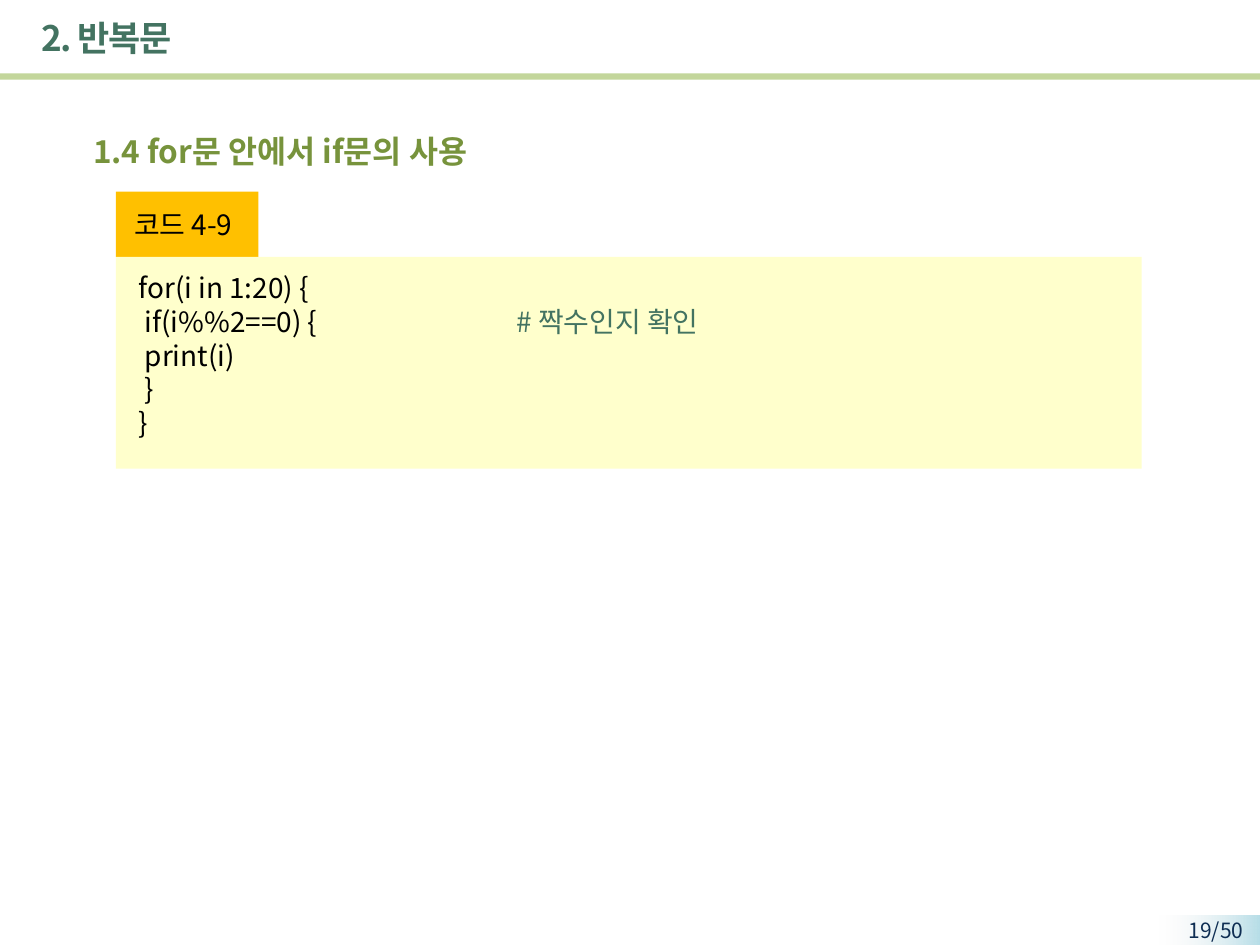
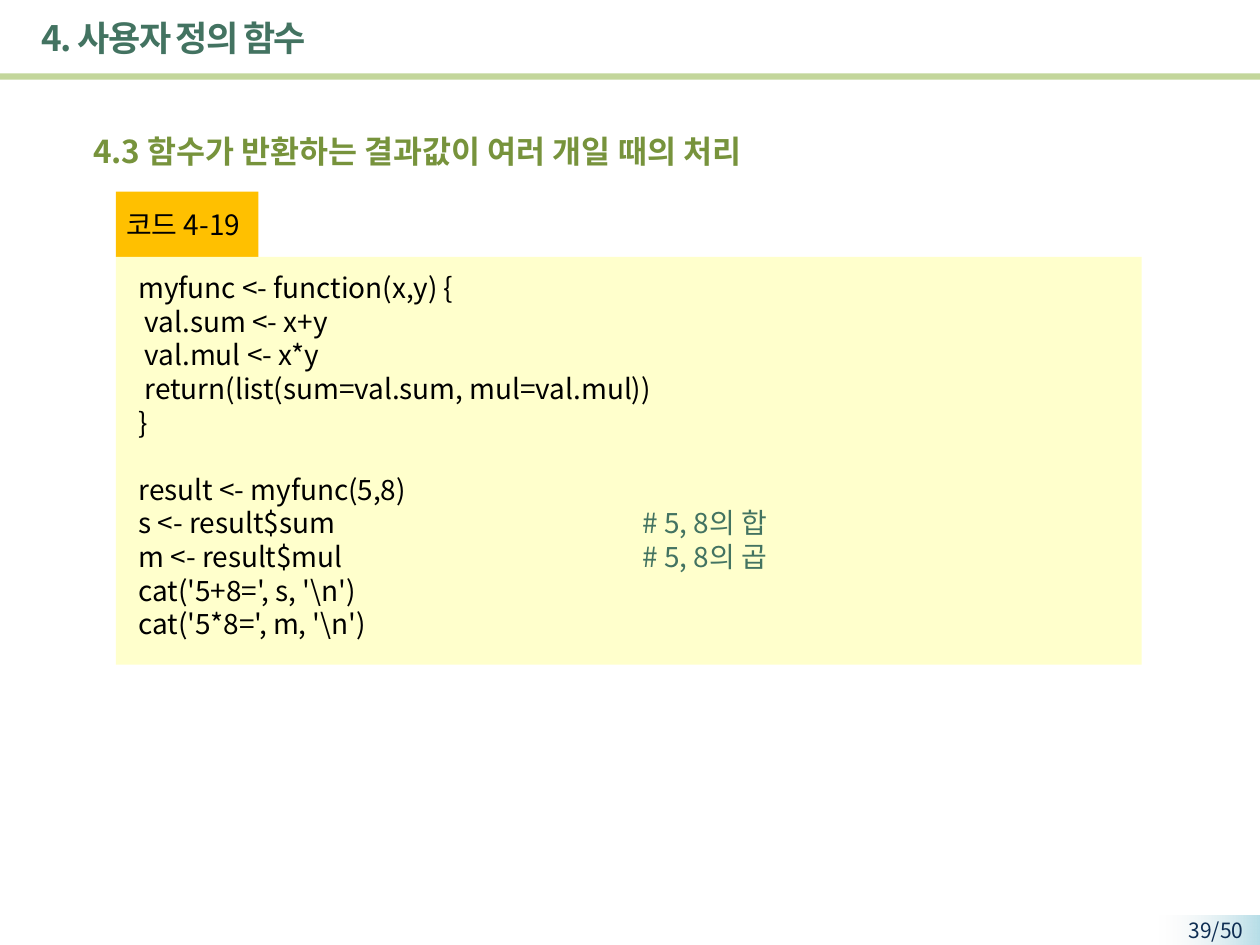
"""Builds two lecture slides, each with a heading and a tagged code listing."""
import pptx
import pptx.dml.color
import pptx.enum.shapes
import pptx.enum.text
import pptx.oxml.ns
import pptx.util
from lxml import etree

Pt = pptx.util.Pt
ALIGN = pptx.enum.text.PP_ALIGN
ANCHOR = pptx.enum.text.MSO_ANCHOR
FONT = "Noto Sans CJK KR"
COLORS = {
    "title": "437361", "rule": "C3D69B", "heading": "77933C",
    "tag": "FFC000", "listing": "FFFFCC", "code": "000000",
    "comment": "437361", "page": "0F2E53",
    "footer": "B7DEE8", "footer_fade": "F2F2F2",
}
FORMATS = {
    "title": {"size": Pt(20), "bold": True},
    "heading": {"size": Pt(18), "bold": True},
    "code": {"size": Pt(16)},
    "comment": {"size": Pt(16)},
    "page": {"size": Pt(12)},
}
TITLE_BOX = (16.56, 2.9, 612.7, 37.4)
RULE_BOX = (0, 41.9, 720, 3.6)
HEADING_BOX = (53.2, 72, 640, 28.8)
CODE_BOX = (66.3, 109.5, 586.1)
FOOTER_BOX = (662.4, 523.2, 57.6, 16.8)
TAG_WIDTH, TAG_HEIGHT = 81.4, 37.3
LINE_HEIGHT = 19.2
TOTAL_PAGES = 50

SLIDES = [
    {
        "title": "2. 반복문",
        "heading": "1.4 for문 안에서 if문의 사용",
        "tag": "코드 4-9", "page": 19,
        "listing_height": 121, "comment_tab": 216,
        "blocks": [[
            ("for(i in 1:20) {",),
            (" if(i%%2==0) {", "# 짝수인지 확인"),
            (" print(i)",),
            (" }",),
            ("}",),
        ]],
    },
    {
        "title": "4. 사용자 정의 함수",
        "heading": "4.3 함수가 반환하는 결과값이 여러 개일 때의 처리",
        "tag": "코드 4-19", "page": 39,
        "listing_height": 233, "comment_tab": 288,
        "blocks": [[
            ("myfunc <- function(x,y) {",),
            (" val.sum <- x+y",),
            (" val.mul <- x*y",),
            (" return(list(sum=val.sum, mul=val.mul))",),
            ("}",),
        ], [
            ("result <- myfunc(5,8)",),
            ("s <- result$sum", "# 5, 8의 합"),
            ("m <- result$mul", "# 5, 8의 곱"),
            (r"cat('5+8=', s, '\n')",),
            (r"cat('5*8=', m, '\n')",),
        ]],
    },
]


def rgb(name):
    return pptx.dml.color.RGBColor.from_string(COLORS[name])


def add_element(parent, tag, **attributes):
    return etree.SubElement(parent, pptx.oxml.ns.qn(tag), attributes)


def add_run(paragraph, text, style):
    run = paragraph.add_run()
    run.text = text
    for name, value in {"name": FONT, **FORMATS[style]}.items():
        setattr(run.font, name, value)
    run.font.color.rgb = rgb(style)
    add_element(run.font._element, "a:ea", typeface=FONT)
    return run


def set_frame(shape, anchor=ANCHOR.MIDDLE, left=0, top=0, right=0):
    frame = shape.text_frame
    values = {
        "word_wrap": True, "vertical_anchor": anchor,
        "margin_left": Pt(left), "margin_top": Pt(top),
        "margin_right": Pt(right), "margin_bottom": 0,
    }
    for name, value in values.items():
        setattr(frame, name, value)
    return frame.paragraphs[0]


def add_band(slide, box, color):
    shape = slide.shapes.add_shape(
        pptx.enum.shapes.MSO_SHAPE.RECTANGLE, *map(Pt, box))
    shape.shadow.inherit = False
    shape.line.fill.background()
    shape.fill.solid()
    shape.fill.fore_color.rgb = rgb(color)
    return shape


def add_text(slide, box, text, style, left=0):
    shape = slide.shapes.add_textbox(*map(Pt, box))
    return add_run(set_frame(shape, left=left), text, style)


def add_header(slide, title, heading):
    add_band(slide, RULE_BOX, "rule")
    run = add_text(slide, TITLE_BOX, title, "title", left=7.2)
    run.font._element.set("spc", "-100")
    add_text(slide, HEADING_BOX, heading, "heading")


def add_footer(slide, box, page):
    band = add_band(slide, box, "footer")
    band.fill.gradient()
    band.fill.gradient_angle = 180
    for stop, color, position in zip(
            band.fill.gradient_stops, ("footer", "footer_fade"), (0, 1)):
        stop.color.rgb = rgb(color)
        stop.position = position
    faded = band._element.spPr.findall(".//" + pptx.oxml.ns.qn("a:srgbClr"))[-1]
    add_element(faded, "a:alpha", val="0")
    paragraph = set_frame(band, right=9.4)
    paragraph.alignment = ALIGN.RIGHT
    add_run(paragraph, f"{page}/{TOTAL_PAGES}", "page")


def add_code(slide, box, content):
    left, top, width = box
    tag = add_band(slide, (left, top, TAG_WIDTH, TAG_HEIGHT), "tag")
    label = set_frame(tag, right=4.6)
    label.alignment = ALIGN.CENTER
    add_run(label, content["tag"], "code")

    listing = add_band(
        slide, (left, top + TAG_HEIGHT, width, content["listing_height"]), "listing")
    paragraph = set_frame(listing, ANCHOR.TOP, left=12.9, top=8)
    for block_index, block in enumerate(content["blocks"]):
        for line_index, (code, *comments) in enumerate(block):
            if block_index or line_index:
                paragraph = listing.text_frame.add_paragraph()
            paragraph.alignment = ALIGN.LEFT
            paragraph.line_spacing = Pt(LINE_HEIGHT)
            if block_index and not line_index:
                paragraph.space_before = Pt(LINE_HEIGHT)
            if comments:
                tabs = add_element(paragraph._p.get_or_add_pPr(), "a:tabLst")
                add_element(tabs, "a:tab", pos=str(Pt(content["comment_tab"])), algn="l")
                code += "\t"
            add_run(paragraph, code, "code")
            for comment in comments:
                add_run(paragraph, comment, "comment")


def main():
    presentation = pptx.Presentation()
    presentation.slide_width, presentation.slide_height = Pt(720), Pt(540)
    for content in SLIDES:
        slide = presentation.slides.add_slide(presentation.slide_layouts[6])
        add_footer(slide, FOOTER_BOX, content["page"])
        add_header(slide, content["title"], content["heading"])
        add_code(slide, CODE_BOX, content)
    presentation.save("out.pptx")


if __name__ == "__main__":
    main()
